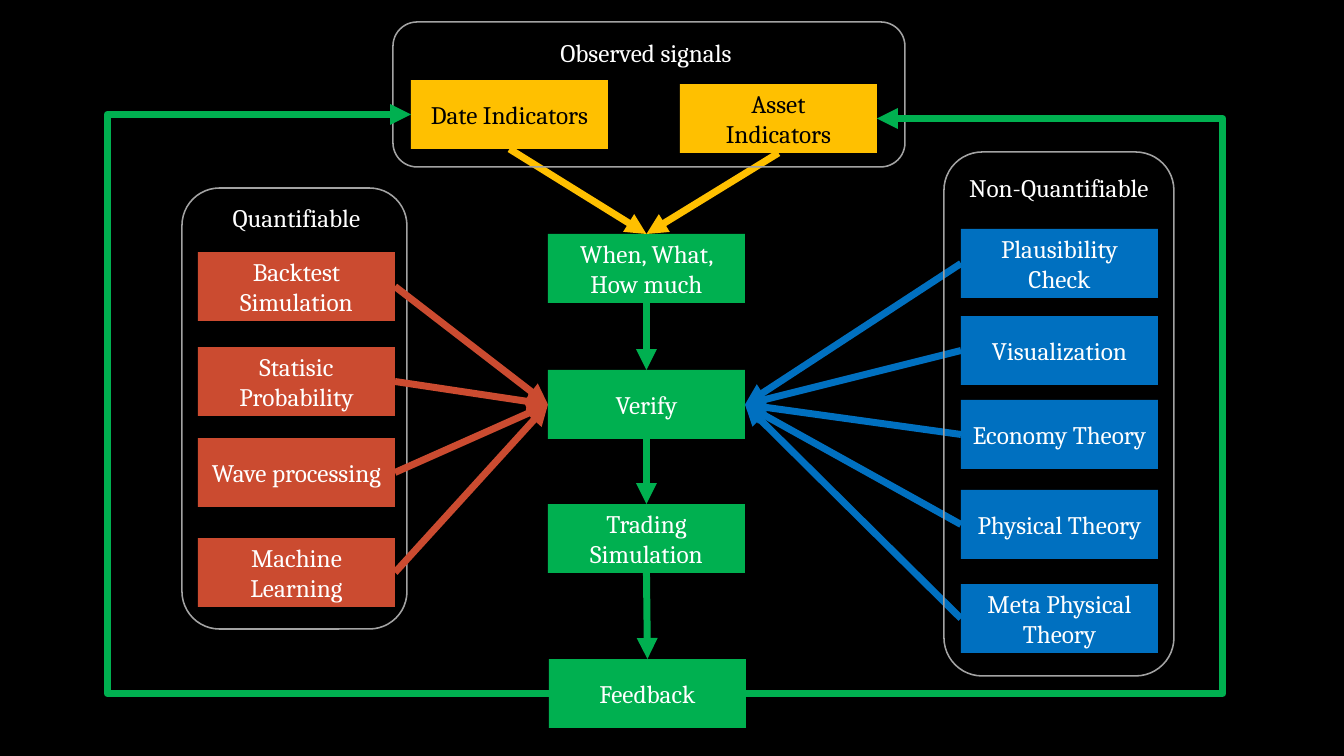
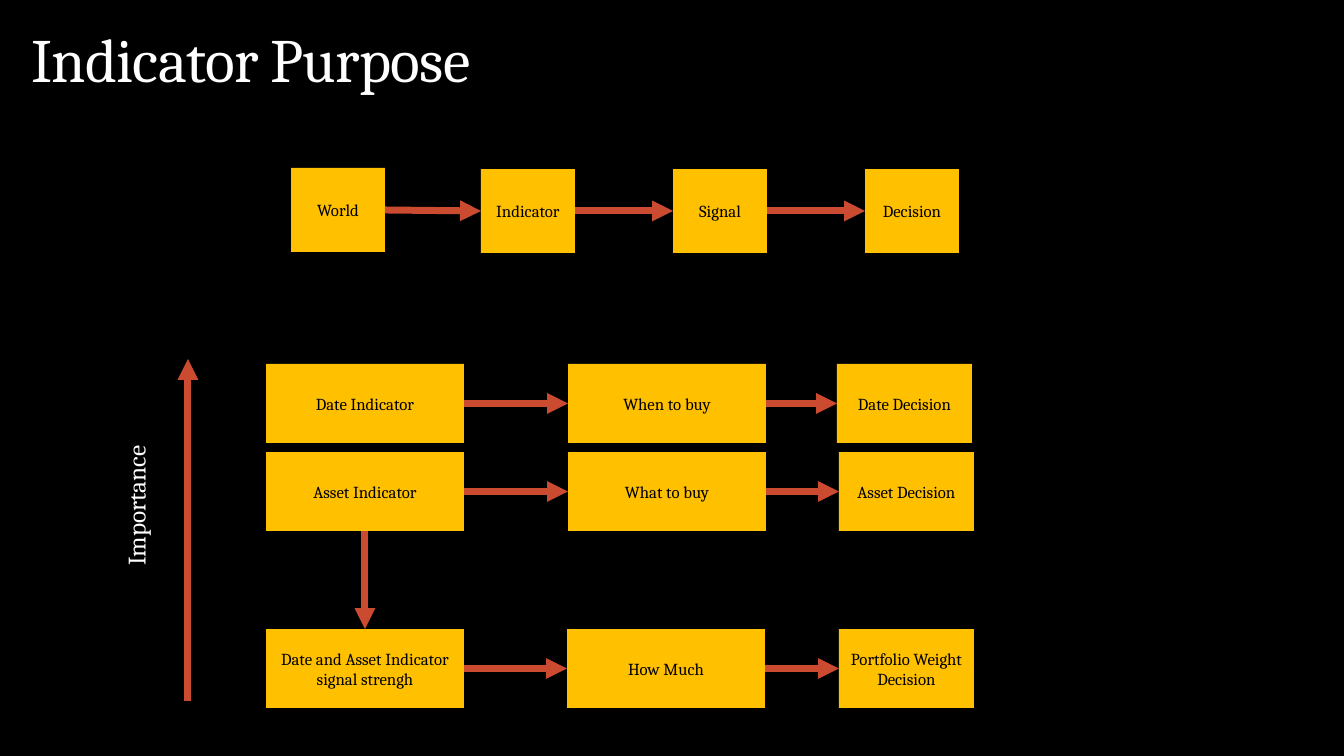
from lxml import etree
from pptx import Presentation
from pptx import util as u
from pptx.dml import color as dml
from pptx.enum import shapes, text
from pptx.oxml import ns

PIXEL = 914400 / 100.8
FONT = "Cambria"
BLACK, WHITE, GRAY = "000000", "FFFFFF", "A3A3A3"
RED, BLUE, GREEN, AMBER = "CB4B30", "0070C0", "00B050", "FFC000"
TOP, LEFT, BOTTOM, RIGHT = range(4)
CENTER = text.PP_ALIGN.CENTER
NODE_SIZE = (197, 69)


def px(*lengths):
    return [u.Emu(round(length * PIXEL)) for length in lengths]


def paint(fill, value):
    fill.solid()
    fill.fore_color.rgb = dml.RGBColor.from_string(value)


def apply(target, values):
    for name, value in values.items():
        setattr(target, name, value)


def write(shape, wording, size, color, align, **frame_format):
    frame = shape.text_frame
    frame.text = wording
    apply(frame, {"word_wrap": True, **frame_format})
    for paragraph in frame.paragraphs:
        paragraph.alignment = align
        for run in paragraph.runs:
            apply(run.font, {"name": FONT, "size": u.Pt(size)})
            paint(run.font.fill, color)


def add_node(slide, box, wording, fill, color=WHITE, size=18):
    node = slide.shapes.add_shape(shapes.MSO_SHAPE.RECTANGLE, *px(*box))
    node.shadow.inherit = False
    node.line.fill.background()
    paint(node.fill, fill)
    write(node, wording, size, color, CENTER, vertical_anchor=text.MSO_ANCHOR.MIDDLE)
    return node


def add_frame(slide, box):
    frame = slide.shapes.add_shape(shapes.MSO_SHAPE.ROUNDED_RECTANGLE, *px(*box))
    frame.shadow.inherit = False
    frame.fill.background()
    paint(frame.line.fill, GRAY)
    frame.line.width = u.Pt(1.1)


def add_label(slide, box, wording, align=CENTER, **frame_format):
    label = slide.shapes.add_textbox(*px(*box))
    write(label, wording, 18, WHITE, align,
          auto_size=text.MSO_AUTO_SIZE.SHAPE_TO_FIT_TEXT, **frame_format)
    return label


def add_arrow(slide, color, points=(0, 0, 0, 0), kind=shapes.MSO_CONNECTOR.STRAIGHT):
    arrow = slide.shapes.add_connector(kind, *px(*points))
    paint(arrow.line.fill, color)
    arrow.line.width = u.Pt(5)
    properties = arrow.element.spPr
    etree.SubElement(properties.get_or_add_ln(), ns.qn("a:tailEnd"), type="triangle")
    etree.SubElement(properties, ns.qn("a:effectLst"))
    return arrow


def link(slide, color, source, source_side, target, target_side, **arrow_format):
    arrow = add_arrow(slide, color, **arrow_format)
    arrow.begin_connect(source, source_side)
    arrow.end_connect(target, target_side)
    return arrow


def link_around(slide, source, target, side, outer_x):
    arrow = link(slide, GREEN, source, side, target, side,
                 kind=shapes.MSO_CONNECTOR.ELBOW)
    bend = (px(outer_x)[0] - arrow.begin_x) / (arrow.end_x - arrow.begin_x)
    properties = arrow.element.spPr
    transform = properties.find(ns.qn("a:xfrm"))
    if transform.get("flipH") and transform.get("flipV"):
        del transform.attrib["flipH"], transform.attrib["flipV"]
        transform.set("rot", "10800000")
    geometry = properties.find(ns.qn("a:prstGeom"))
    guides = geometry.find(ns.qn("a:avLst"))
    if guides is None:
        guides = etree.SubElement(geometry, ns.qn("a:avLst"))
    etree.SubElement(guides, ns.qn("a:gd"), name="adj1", fmla=f"val {round(bend * 100000)}")


def add_checks(slide, left, checks, color, side, verify, verify_side):
    for top, wording in checks:
        node = add_node(slide, (left, top, *NODE_SIZE), wording, color)
        link(slide, color, node, side, verify, verify_side)


def add_steps(slide, steps):
    nodes = [add_node(slide, (left, top, *NODE_SIZE), wording, GREEN)
             for left, top, wording in steps]
    for source, target in zip(nodes, nodes[1:]):
        link(slide, GREEN, source, BOTTOM, target, TOP)
    return nodes


def add_chain(slide, boxes, wordings):
    nodes = [add_node(slide, box, wording, AMBER, BLACK, 12)
             for box, wording in zip(boxes, wordings)]
    for source, target in zip(nodes, nodes[1:]):
        link(slide, RED, source, RIGHT, target, LEFT)
    return nodes


def add_title(slide, box, wording):
    title = slide.shapes.title
    apply(title, dict(zip(("left", "top", "width", "height"), px(*box))))
    write(title, wording, 44, WHITE, text.PP_ALIGN.LEFT,
          vertical_anchor=text.MSO_ANCHOR.BOTTOM, auto_size=text.MSO_AUTO_SIZE.NONE)
    paragraph = title.text_frame.paragraphs[0]
    paragraph.line_spacing = 0.9
    paragraph.runs[0].font._element.set("spc", "-50")


def build_process(presentation):
    slide = presentation.slides.add_slide(presentation.slide_layouts[6])
    add_frame(slide, (182, 188, 225, 441))
    add_label(slide, (198, 197, 197, 40), "Quantifiable")
    decide, verify, trade, feedback = add_steps(slide, [
        (548, 234, "When, What, How much"),
        (548, 370, "Verify"),
        (548, 504, "Trading Simulation"),
        (549, 659, "Feedback"),
    ])
    add_checks(slide, 198, [
        (252, "Backtest\nSimulation"),
        (347, "Statisic\nProbability"),
        (438, "Wave processing"),
        (538, "Machine Learning"),
    ], RED, RIGHT, verify, LEFT)
    add_checks(slide, 961, [
        (229, "Plausibility Check"),
        (316, "Visualization"),
        (400, "Economy Theory"),
        (490, "Physical Theory"),
        (584, "Meta Physical\nTheory"),
    ], BLUE, LEFT, verify, RIGHT)
    add_frame(slide, (944, 152, 230, 524))
    add_label(slide, (944, 167, 230, 40), "Non-Quantifiable")
    signals = [
        (411, 80, "Date Indicators", LEFT, 107),
        (680, 84, "Asset\nIndicators", RIGHT, 1223),
    ]
    indicators = []
    for left, top, wording, side, outer_x in signals:
        indicator = add_node(slide, (left, top, *NODE_SIZE), wording, AMBER, BLACK)
        link(slide, AMBER, indicator, BOTTOM, decide, TOP)
        indicators.append((indicator, side, outer_x))
    add_frame(slide, (393, 22, 512, 145))
    add_label(slide, (531, 32, 230, 40), "Observed signals")
    for indicator, side, outer_x in indicators:
        link_around(slide, feedback, indicator, side, outer_x)


def build_purpose(presentation):
    slide = presentation.slides.add_slide(presentation.slide_layouts[5])
    add_title(slide, (21, -45, 1068, 146), "Indicator Purpose")
    add_chain(slide,
              [(left, top, 94, 84) for left, top in
               ((291, 168), (481, 169), (673, 169), (865, 169))],
              ["World", "Indicator", "Signal", "Decision"])
    rows = [
        (364, 568, 837, ["Date Indicator", "When to buy", "Date Decision"]),
        (452, 568, 839, ["Asset Indicator", "What to buy", "Asset Decision"]),
        (629, 567, 839, ["Date and Asset Indicator signal strengh", "How Much",
                         "Portfolio Weight Decision"]),
    ]
    indicators = []
    for top, question_left, decision_left, wordings in rows:
        boxes = [(left, top, width, 79) for left, width in
                 ((266, 198), (question_left, 198), (decision_left, 135))]
        indicators.append(add_chain(slide, boxes, wordings)[0])
    link(slide, RED, indicators[1], BOTTOM, indicators[2], TOP)
    add_arrow(slide, RED, (188, 701, 188, 359))
    importance = add_label(slide, (58, 478, 155, 40), "Importance",
                           text.PP_ALIGN.LEFT, word_wrap=False)
    importance.rotation = 270


presentation = Presentation()
apply(presentation, dict(zip(("slide_width", "slide_height"), px(1344, 756))))
paint(presentation.slide_master.background.fill, BLACK)
build_process(presentation)
build_purpose(presentation)
presentation.save("out.pptx")
